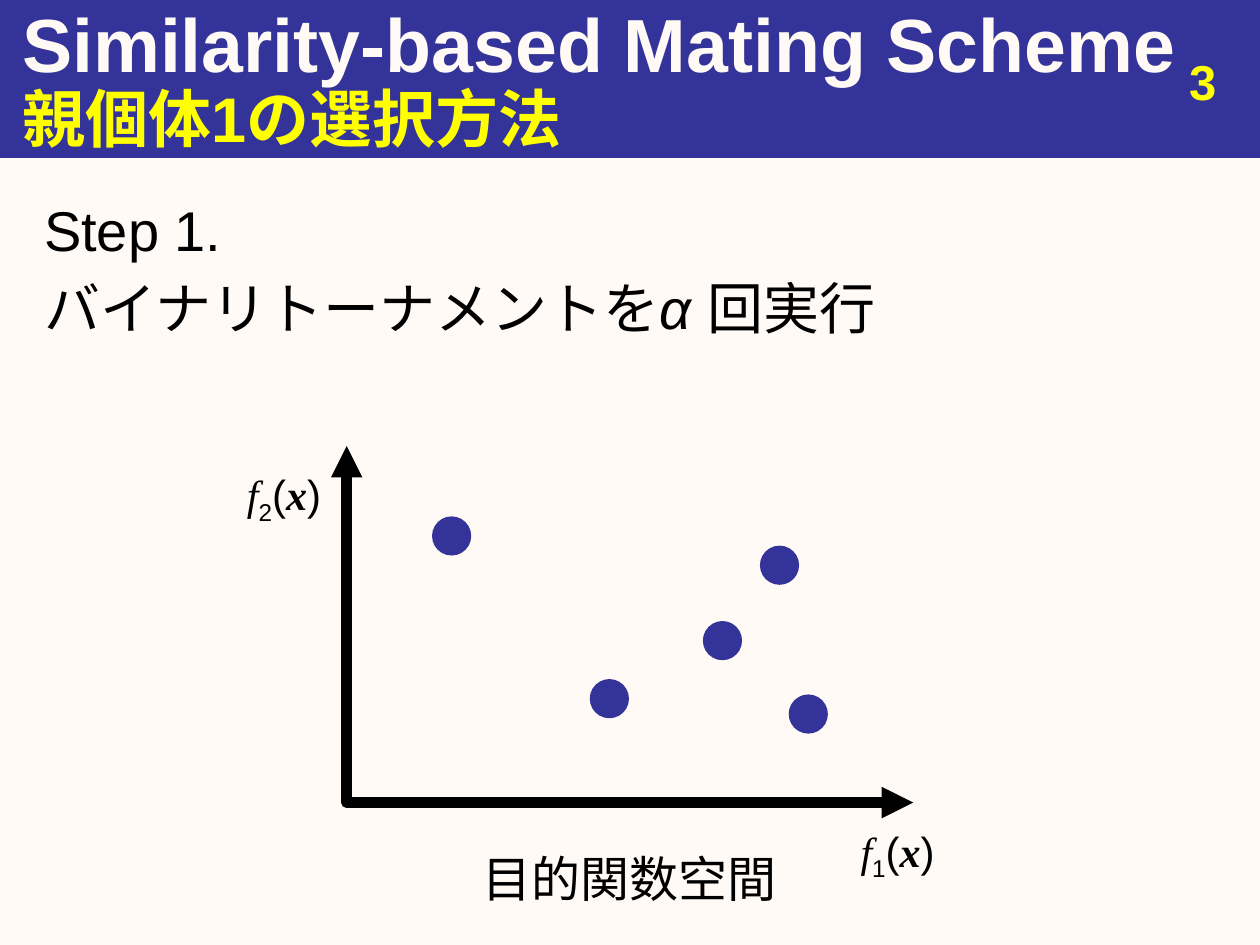
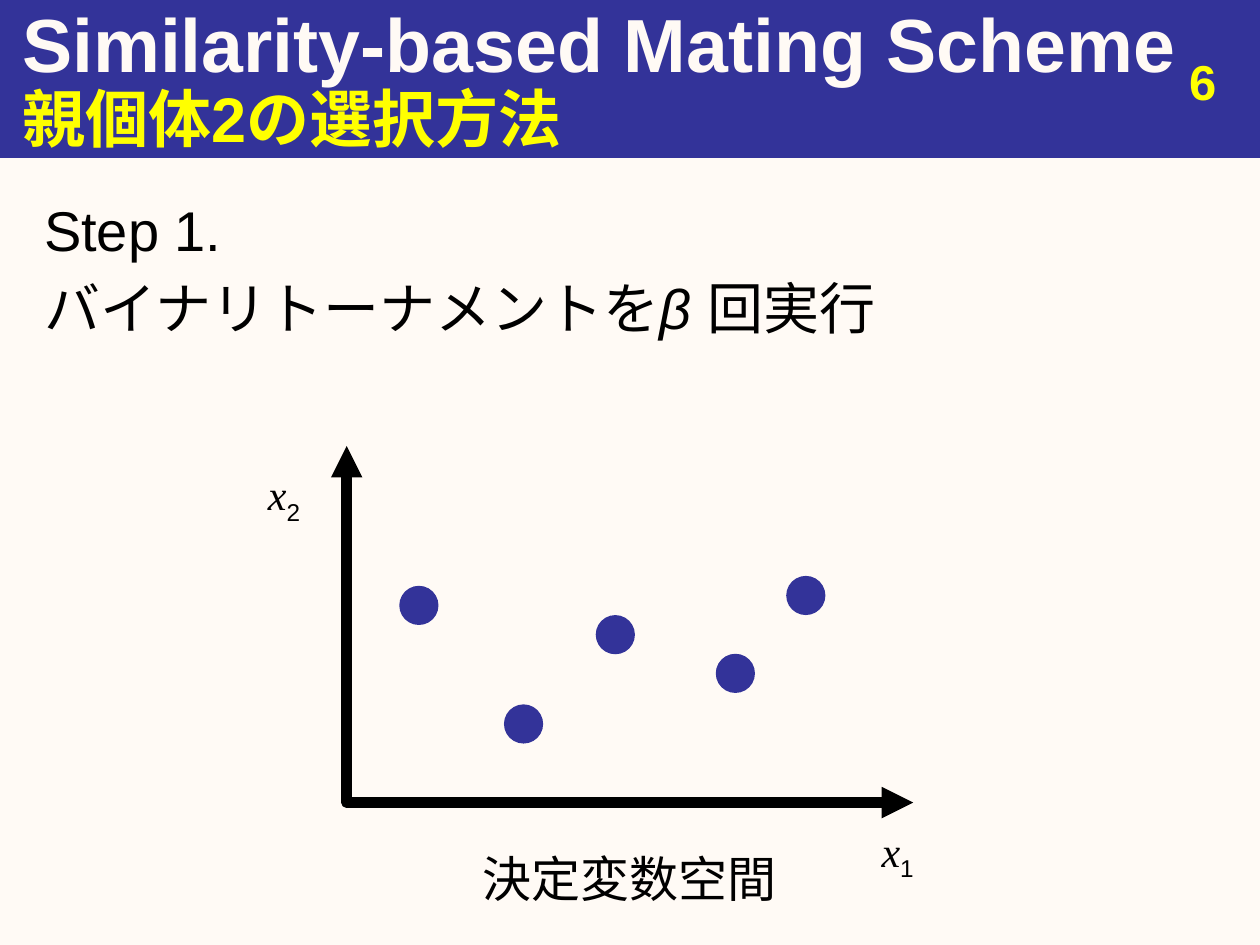
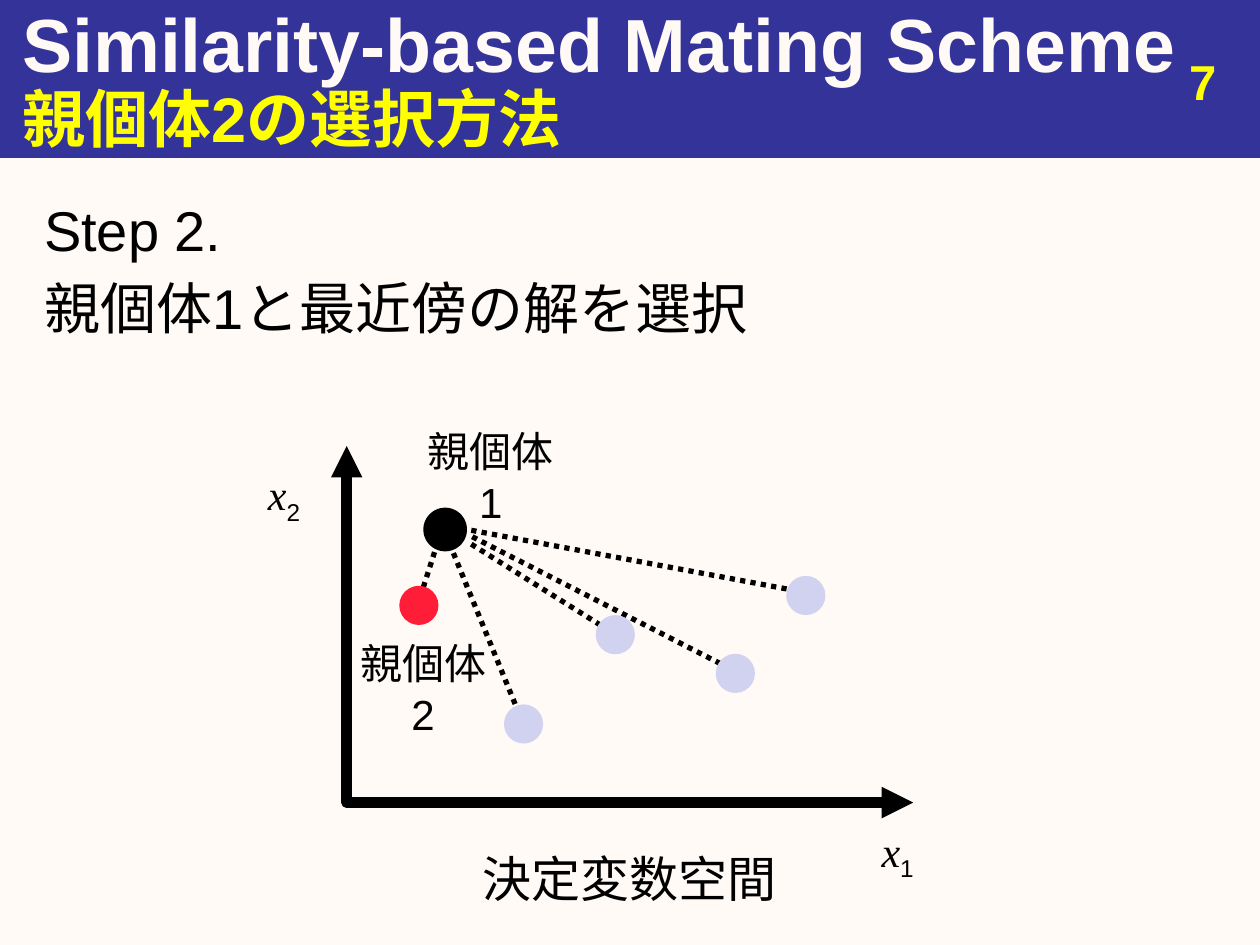
from dataclasses import dataclass

from lxml.etree import SubElement
from pptx import Presentation
from pptx.dml.color import RGBColor
from pptx.enum.dml import MSO_LINE
from pptx.enum.shapes import MSO_CONNECTOR, MSO_SHAPE
from pptx.enum.text import MSO_ANCHOR, MSO_AUTO_SIZE, PP_ALIGN
from pptx.oxml.ns import qn
from pptx.util import Cm, Pt

NAVY = RGBColor(0x33, 0x33, 0x99)
CREAM = RGBColor(0xFF, 0xFA, 0xF5)
YELLOW = RGBColor(0xFF, 0xFF, 0x00)
BLACK = RGBColor(0x00, 0x00, 0x00)
RED = RGBColor(0xFF, 0x1D, 0x38)
PALE = RGBColor(0xD1, 0xD1, 0xF0)

SANS = "Arial"
SERIF = "Times New Roman"

PAGE_WIDTH, PAGE_HEIGHT = 25.4, 19.05
BAND_HEIGHT = 3.17
ORIGIN_X, ORIGIN_Y = 6.99, 16.18
AXIS_TOP, AXIS_RIGHT = 8.99, 18.41
DOT_SIZE = 0.79

OBJECTIVE_DOTS = [(8.71, 10.41), (15.9, 14.0), (15.32, 11.0),
                  (14.17, 12.52), (11.89, 13.69)]
# The first decision dot is the one nearest to parent 1.
DECISION_DOTS = [(8.05, 11.81), (15.85, 11.61), (14.43, 13.18),
                 (12.01, 12.4), (10.16, 14.2)]
DISTANCES = [((9.5, 10.69), (16.33, 11.96)), ((9.52, 10.82), (14.78, 13.51)),
             ((9.5, 10.97), (12.42, 12.8)), ((9.14, 11.15), (10.49, 14.45)),
             ((8.76, 11.13), (8.38, 12.32))]


@dataclass
class Span:
    """A piece of text with its own font style."""

    text: str
    font: str = SANS
    bold: bool = False
    italic: bool = False
    subscript: bool = False


def add_text(page, place, paragraphs, size, color=BLACK, align=PP_ALIGN.LEFT,
             anchor=MSO_ANCHOR.TOP, space=0, grow=False):
    """Add a text box; each paragraph is a list of spans."""
    box = page.shapes.add_textbox(*map(Cm, place))
    frame = box.text_frame
    frame.word_wrap = True
    frame.vertical_anchor = anchor
    frame.auto_size = MSO_AUTO_SIZE.SHAPE_TO_FIT_TEXT if grow else MSO_AUTO_SIZE.NONE
    frame.text = "\n" * (len(paragraphs) - 1)
    for paragraph, spans in zip(frame.paragraphs, paragraphs):
        paragraph.alignment = align
        paragraph.space_before = Pt(space)
        for span in spans:
            if span.text == "\v":
                paragraph.add_line_break()
                continue
            run = paragraph.add_run()
            run.text = span.text
            run.font.name = span.font
            run.font.size = Pt(size)
            run.font.bold = span.bold
            run.font.italic = span.italic
            run.font.color.rgb = color
            if span.subscript:
                run._r.get_or_add_rPr().set("baseline", "-25000")
    return box


def add_label(page, place, spans, size=24):
    """Add a centred label that grows with its text."""
    return add_text(page, place, [spans], size, align=PP_ALIGN.CENTER, grow=True)


def add_filled(page, kind, place, color, line_width=0):
    """Add a preset shape in one colour, outlined if a width is given."""
    shape = page.shapes.add_shape(kind, *map(Cm, place))
    shape.shadow.inherit = False
    shape.fill.solid()
    shape.fill.fore_color.rgb = color
    if line_width:
        shape.line.color.rgb = color
        shape.line.width = Pt(line_width)
    else:
        shape.line.fill.background()
    return shape


def add_dots(page, corners, colors):
    """Draw one solution dot for each corner and colour."""
    for (left, top), color in zip(corners, colors):
        add_filled(page, MSO_SHAPE.OVAL, (left, top, DOT_SIZE, DOT_SIZE), color)


def add_axes(page):
    """Draw both axes as one open outline with two arrowheads."""
    builder = page.shapes.build_freeform(Cm(ORIGIN_X), Cm(AXIS_TOP))
    builder.add_line_segments([(Cm(ORIGIN_X), Cm(ORIGIN_Y)),
                               (Cm(AXIS_RIGHT), Cm(ORIGIN_Y))], close=False)
    axes = builder.convert_to_shape()
    axes.shadow.inherit = False
    axes.fill.background()
    axes.line.color.rgb = BLACK
    axes.line.width = Pt(6)
    outline = axes.line._get_or_add_ln()
    SubElement(outline, qn("a:round"))
    for end in ("a:headEnd", "a:tailEnd"):
        SubElement(outline, qn(end), type="triangle")


def add_distance(page, start, end):
    """Draw a dotted line from parent 1 to a solution."""
    line = page.shapes.add_connector(MSO_CONNECTOR.STRAIGHT,
                                     *map(Cm, start + end))
    line.line.color.rgb = BLACK
    line.line.width = Pt(3)
    line.line.dash_style = MSO_LINE.ROUND_DOT
    SubElement(line._element.spPr, qn("a:effectLst"))


def add_page(deck, number, parent, step, sentence):
    """Add a page with band, titles, page number and step text."""
    page = deck.slides.add_slide(deck.slide_layouts[6])
    page.background.fill.solid()
    page.background.fill.fore_color.rgb = CREAM
    add_filled(page, MSO_SHAPE.RECTANGLE, (0, 0, PAGE_WIDTH, BAND_HEIGHT), NAVY, 0.75)
    add_text(page, (0.2, 0, 25.2, 1.7),
             [[Span("Similarity-based Mating Scheme", bold=True)]],
             43, CREAM, anchor=MSO_ANCHOR.MIDDLE)
    add_text(page, (0.64, 3.81, 24.13, 14.4), [[Span(f"Step {step}.")], sentence],
             32, align=PP_ALIGN.JUSTIFY, space=6.4)
    add_text(page, (18.85, 0.91, 5.92, 1.32), [[Span(str(number), bold=True)]],
             28, YELLOW, PP_ALIGN.RIGHT)
    add_text(page, (0.2, 1.57, 25.2, 1.6),
             [[Span(f"親個体{parent}の選択方法", bold=True)]],
             36, YELLOW, anchor=MSO_ANCHOR.MIDDLE, space=7.2)
    return page


def add_plot(page, caption, axis_name, corners, colors):
    """Draw the axes, their names, the caption and the dots."""
    add_dots(page, corners, colors)
    add_axes(page)
    add_label(page, (16.1, 16.51, 3.99, 1.27), axis_name(1))
    add_label(page, (3.73, 9.32, 3.99, 1.27), axis_name(2))
    add_label(page, (9.14, 16.99, 7.09, 1.45), [Span(caption)], 28)


def objective_name(index):
    """Return the spans of an objective function of bold x."""
    return [Span("f", SERIF, italic=True), Span(str(index), subscript=True),
            Span("("), Span("x", SERIF, bold=True, italic=True), Span(")")]


def variable_name(index):
    """Return the spans of a decision variable."""
    return [Span("x", SERIF, italic=True), Span(str(index), subscript=True)]


def tournament(symbol):
    """Return the sentence on repeated binary tournaments."""
    return [Span("バイナリトーナメントを"), Span(f"{symbol} ", italic=True),
            Span("回実行")]


def add_parents(page):
    """Mark parent 1 and name both parents."""
    add_filled(page, MSO_SHAPE.OVAL, (8.71, 10.41, 0.53, 0.53), BLACK, 10)
    second = add_label(page, (6.99, 12.73, 3.33, 2.31),
                       [Span("親個体"), Span("\v"), Span("2")])
    second.text_frame.margin_left = Cm(0)
    add_label(page, (7.9, 8.46, 3.99, 2.31),
              [Span("親個体"), Span("\v"), Span("1")])


def main():
    """Build the three pages and save the deck."""
    deck = Presentation()
    deck.slide_width, deck.slide_height = Cm(PAGE_WIDTH), Cm(PAGE_HEIGHT)

    page = add_page(deck, 3, 1, 1, tournament("α"))
    add_plot(page, "目的関数空間", objective_name, OBJECTIVE_DOTS, [NAVY] * 5)

    page = add_page(deck, 6, 2, 1, tournament("β"))
    add_plot(page, "決定変数空間", variable_name, DECISION_DOTS, [NAVY] * 5)

    page = add_page(deck, 7, 2, 2, [Span("親個体1と最近傍の解を選択")])
    for start, end in DISTANCES:
        add_distance(page, start, end)
    add_plot(page, "決定変数空間", variable_name, DECISION_DOTS, [RED] + [PALE] * 4)
    add_parents(page)

    deck.save("out.pptx")


main()
